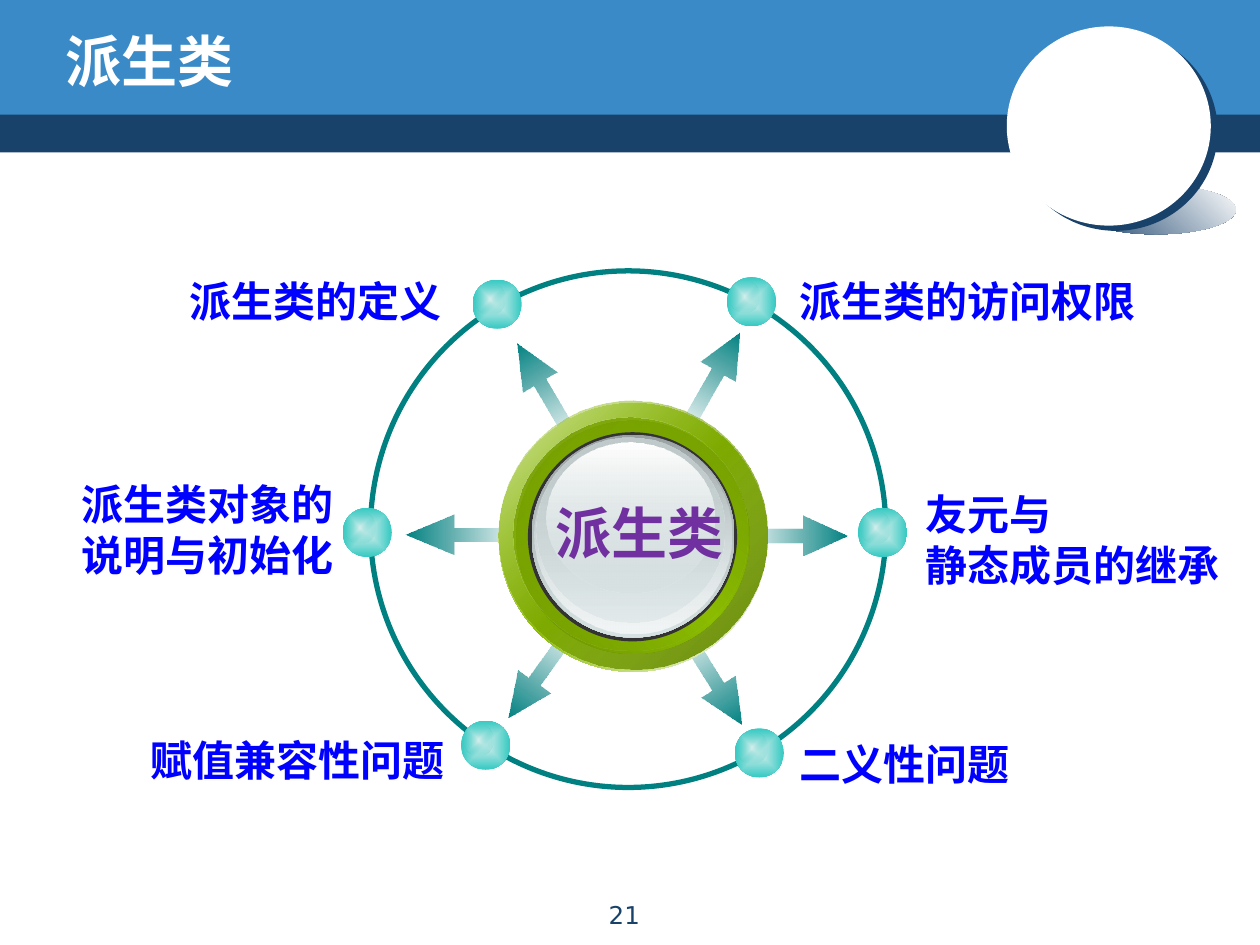
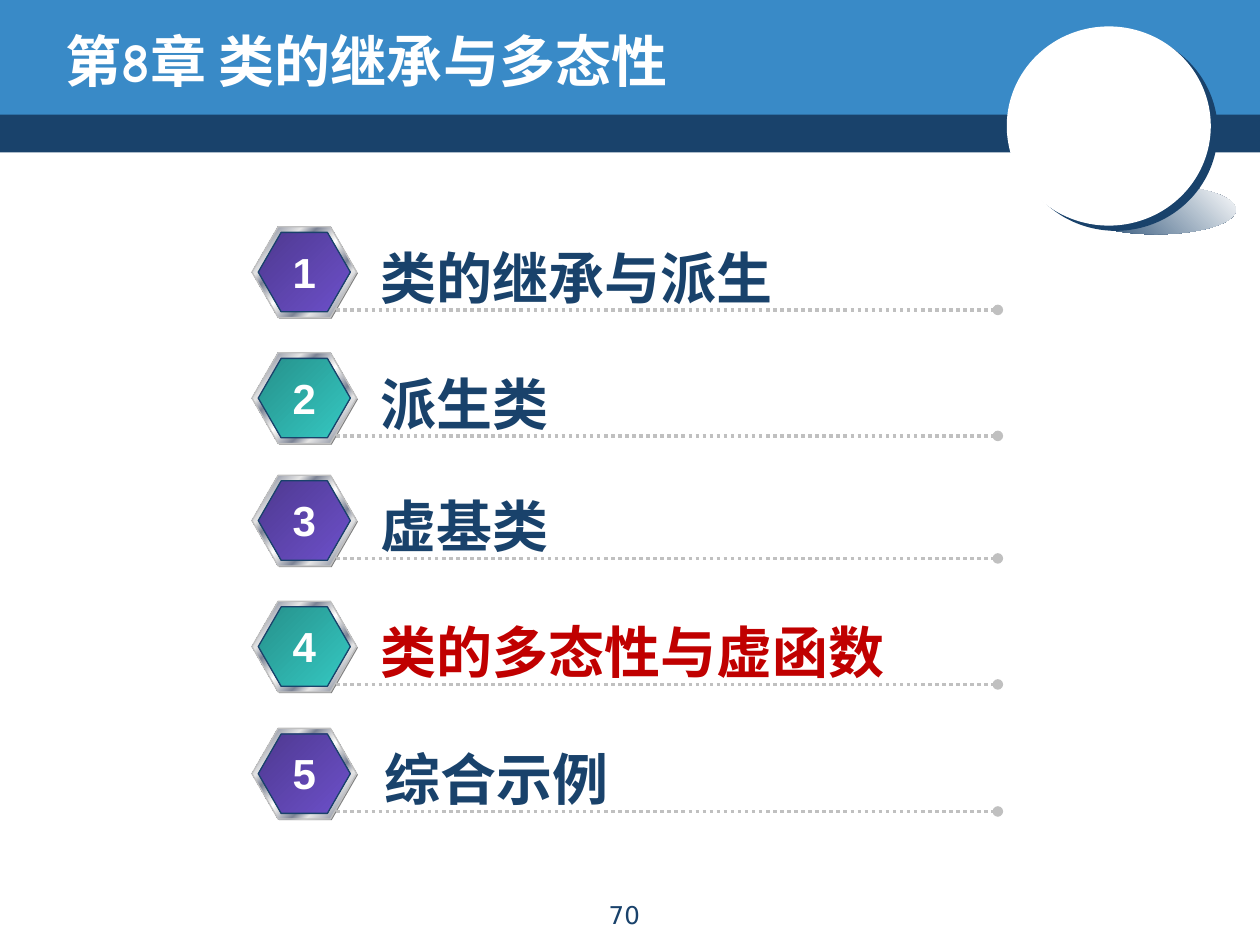
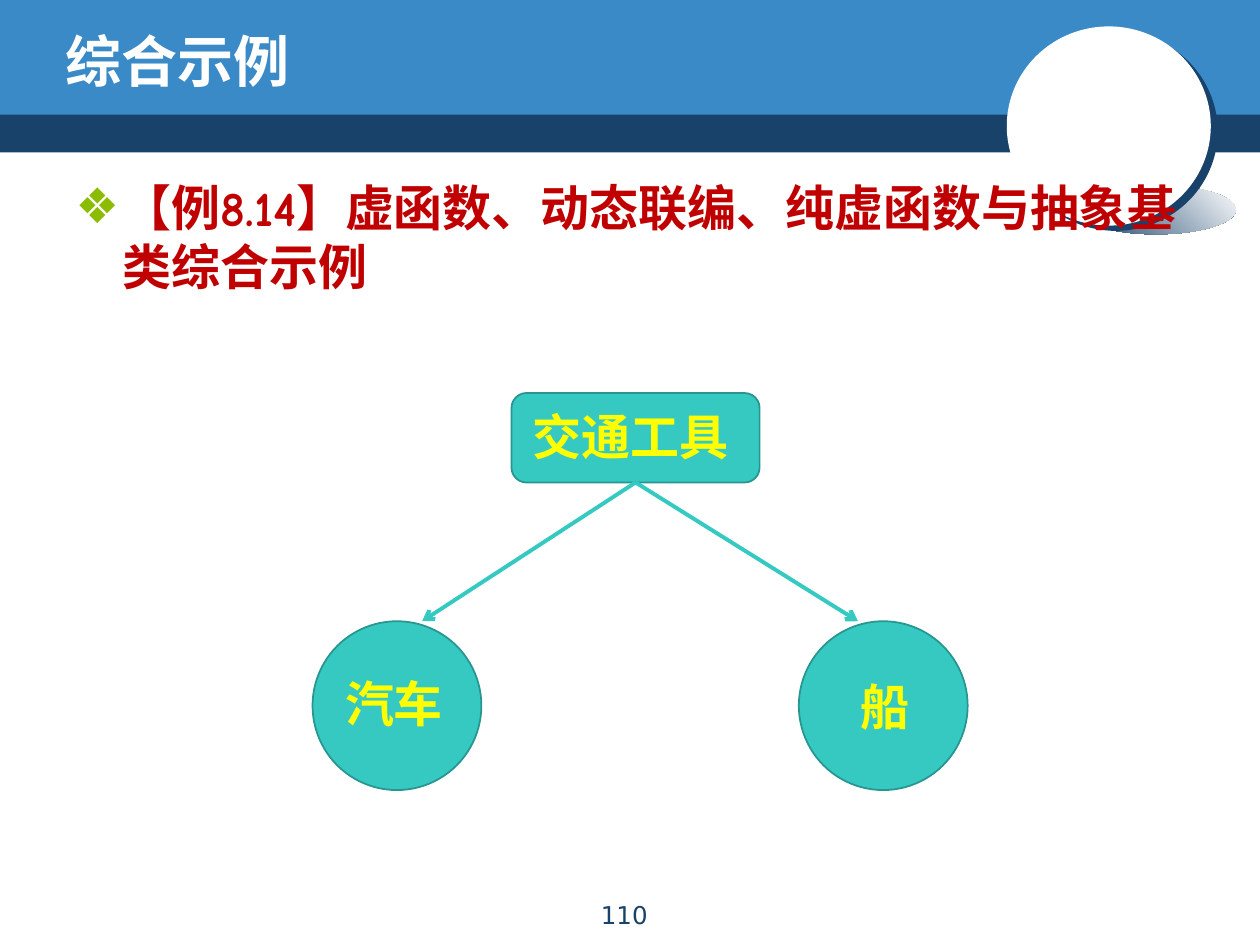
from lxml import etree
from pptx import Presentation
from pptx.dml.color import RGBColor
from pptx.enum import dml, shapes, text
from pptx.oxml import ns
from pptx.util import Pt

NAVY, BLUE, WHITE = "19426B", "398AC7", "FFFFFF"
TEAL, TEAL_EDGE, RING = "35C9C2", "279590", "008080"
RED, YELLOW, LABEL_BLUE, PURPLE = "C00000", "FFFF00", "0000FF", "7030A0"
SILVER = "C0C0C0"
CJK = "Noto Sans CJK SC"
OVAL = shapes.MSO_SHAPE.OVAL
CENTER = text.PP_ALIGN.CENTER


def rgb(color):
    return RGBColor.from_string(color)


def child(parent, tag, **attrs):
    return etree.SubElement(parent, ns.qn(tag), {k: str(v) for k, v in attrs.items()})


def set_gradient(sp, stops, angle=None):
    """Fill with (position, colour[, opacity]) stops; no angle means from the centre."""
    sp.fill.background()
    spPr = sp.element.spPr
    grad = etree.Element(ns.qn("a:gradFill"), rotWithShape="1")
    spPr.replace(spPr.find(ns.qn("a:noFill")), grad)
    gs_list = child(grad, "a:gsLst")
    for pos, color, *opacity in stops:
        gs = child(gs_list, "a:gs", pos=pos * 1000)
        clr = child(gs, "a:srgbClr", val=color)
        for value in opacity:
            child(clr, "a:alpha", val=value * 1000)
    if angle is None:
        centre = child(grad, "a:path", path="shape")
        child(centre, "a:fillToRect", l=50000, t=50000, r=50000, b=50000)
    else:
        child(grad, "a:lin", ang=angle * 60000, scaled=1)


def add_shape(s, kind, box, fill=None, angle=None, line=None, width=1, adj=()):
    """fill is a colour, a list of gradient stops or None."""
    sp = s.shapes.add_shape(kind, *map(Pt, box))
    sp.shadow.inherit = False
    for i, value in enumerate(adj):
        sp.adjustments[i] = value
    if line:
        sp.line.color.rgb = rgb(line)
        sp.line.width = Pt(width)
    else:
        sp.line.fill.background()
    if fill is None:
        sp.fill.background()
    elif isinstance(fill, str):
        sp.fill.solid()
        sp.fill.fore_color.rgb = rgb(fill)
    else:
        set_gradient(sp, fill, angle)
    return sp


def add_line(s, start, end, color, width, tail):
    cn = s.shapes.add_connector(shapes.MSO_CONNECTOR.STRAIGHT, *map(Pt, start + end))
    cn.line.color.rgb = rgb(color)
    cn.line.width = Pt(width)
    child(cn.line._get_or_add_ln(), "a:tailEnd", type=tail)
    child(cn.element.spPr, "a:effectLst")
    return cn


def format_text(tf, size, color, font, bold=True, align=None, pitch=None):
    for p in tf.paragraphs:
        p.alignment = align
        if pitch:
            p.line_spacing = Pt(size * pitch)
        for r in p.runs:
            r.font.size, r.font.bold, r.font.name = Pt(size), bold, font
            r.font.color.rgb = rgb(color)
            child(r._r.get_or_add_rPr(), "a:ea", typeface=CJK)


def add_text(s, box, words, size, color, font="Arial", wrap=False, **style):
    tb = s.shapes.add_textbox(*map(Pt, box))
    tf = tb.text_frame
    tf.word_wrap = wrap
    if not wrap:
        tf.auto_size = text.MSO_AUTO_SIZE.SHAPE_TO_FIT_TEXT
    tf.text = words
    if not words.isdigit():
        style.setdefault("pitch", 1.2)
    format_text(tf, size, color, font, **style)
    return tf


def add_header(s, layout):
    """Draw the bands and the round badge, then hand them to the layout."""
    for ph in list(layout.placeholders):
        if ph.placeholder_format.type != shapes.PP_PLACEHOLDER.TITLE:
            ph.element.getparent().remove(ph.element)
    rect = shapes.MSO_SHAPE.RECTANGLE
    badge = add_shape(s, OVAL, (575.3, 15.1, 116.6, 113.8), WHITE)
    effects = badge.element.spPr.find(ns.qn("a:effectLst"))
    shadow = child(effects, "a:outerShdw", blurRad=0, dist=Pt(5), dir=37 * 60000,
                   algn="ctr", rotWithShape=0)
    child(shadow, "a:srgbClr", val=NAVY)
    parts = [
        add_shape(s, rect, (0, 62.6, 720, 24.5), NAVY),
        add_shape(s, rect, (0, 0, 720, 65.5), BLUE),
        add_shape(s, OVAL, (614.9, 105.8, 91.4, 28.1), [(0, NAVY), (100, WHITE)], 315),
        badge,
    ]
    for sp in parts:
        layout.shapes.element.append(sp.element)


def add_slide(prs, layout, title, number):
    s = prs.slides.add_slide(layout)
    sp = s.shapes.title
    sp.left, sp.top, sp.width, sp.height = map(Pt, (30.2, 12.2, 581.8, 44.6))
    tf = sp.text_frame
    tf.text = title
    tf.vertical_anchor = text.MSO_ANCHOR.MIDDLE
    tf.auto_size = text.MSO_AUTO_SIZE.NONE
    format_text(tf, 32, WHITE, "Comic Neue", align=text.PP_ALIGN.LEFT)
    add_text(s, (291.6, 510.5, 130.3, 23), number, 14, NAVY, "DejaVu Sans",
             wrap=True, bold=False, align=CENTER)
    return s


def add_arrow(s, x, y, rotation, length=62.6):
    sp = add_shape(s, shapes.MSO_SHAPE.RIGHT_ARROW, (x, y, length, 23),
                   [(0, "007A7A", 0), (100, RING)], 0, adj=(0.352, length / 56.2))
    sp.rotation = rotation


def add_bead(s, x, y):
    add_shape(s, OVAL, (x, y, 28.1, 28.1), [(0, "D7EFED"), (100, TEAL)])
    add_shape(s, OVAL, (x + 1.3, y + 2.2, 17.3, 18), [(0, "D7EFED"), (100, TEAL, 0)])


def add_button(s, x, y, words):
    layers = [
        (0, 1.5, 153.4, 153.4, [(0, WHITE), (50, "8BBC00"), (100, WHITE)], 45),
        (0, 0, 153.4, 153.4, [(0, "8BBC00", 32), (100, "638600")], 45),
        (10, 11.5, 133.2, 133.2, [(0, "6A9000"), (50, "8BBC00"), (100, "6A9000")], 315),
        (8.6, 9.4, 133.2, 133.2, [(0, "729A00"), (100, "8BBC00", 0)], 45),
        (16.6, 18, 119.5, 119.5, "333333", None),
        (18.7, 19.4, 115.9, 115.9, [(0, "99A1A2"), (100, "D6E1E2")], 90),
        (20.2, 20.2, 113, 113, [(0, "D6E1E2", 0), (100, "F2F5F5")], 90),
        (21.6, 20.9, 107.3, 105.8, [(0, "C1CBCC"), (100, "D6E1E2", 48)], 90),
        (27.4, 23.8, 95.8, 85.7, [(0, WHITE), (100, "D6E1E2", 38)], 90),
    ]
    for dx, dy, w, h, fill, angle in layers:
        add_shape(s, OVAL, (x + dx, y + dy, w, h), fill, angle)
    add_text(s, (x + 24.5, y + 52.5, 111.6, 46.1), words, 32, PURPLE, CJK, align=CENTER)


def build_wheel(s):
    arrows = [(375.8, 205.9, 299.6), (375.8, 375.8, 57.8), (280.1, 211.7, 239.5),
              (277.2, 373, 125.6), (421.9, 294.5, 0), (231.8, 293.8, 180, 67.7)]
    for arrow in arrows:
        add_arrow(s, *arrow)
    add_shape(s, OVAL, (211.7, 154.8, 294.5, 295.2), line=RING, width=3)
    # bead position, label box, label
    topics = [
        ((270, 159.8), (101.5, 154.1, 160.6, 36), "派生类的定义"),
        ((195.8, 290.2), (39.6, 270, 160.6, 65.5), "派生类对象的\n说明与初始化"),
        ((263.5, 411.8), (79.2, 416.2, 185, 36), "赋值兼容性问题"),
        ((415.4, 158.4), (450, 154.1, 209.5, 36), "派生类的访问权限"),
        ((490.3, 290.2), (522, 275.8, 185, 65.5), "友元与\n静态成员的继承"),
        ((419.8, 416.2), (450, 418.3, 136.1, 36), "二义性问题"),
    ]
    for bead, box, words in topics:
        add_bead(s, *bead)
        add_text(s, box, words, 24, LABEL_BLUE, CJK)
    add_button(s, 285.1, 229, "派生类")


def add_agenda_row(s, x, y, number, words, width, color, shift=0):
    hexagon, adj = shapes.MSO_SHAPE.HEXAGON, (0.289, 1.155)
    chrome = [(0, "E6E6E6"), (7, "7D8496"), (26, "E6E6E6"), (34, "7D8496"),
              (46, "E6E6E6"), (50, WHITE), (54, "E6E6E6"), (66, "7D8496"),
              (74, "E6E6E6"), (93, "7D8496"), (100, "E6E6E6")]
    face = [(0, "4E3990"), (100, "6D50CA")] if number % 2 else [(0, "26908B"), (100, TEAL)]
    add_shape(s, hexagon, (x + 0.7, y + 0.7, 59.8, 51.8), "808080", adj=adj)
    add_shape(s, hexagon, (x, y, 59.8, 51.8), chrome, 45, SILVER, 0.75, adj)
    add_shape(s, hexagon, (x + 3.6, y + 3.2, 52.6, 45.4), face, 45, NAVY, 0.75, adj)
    rule = add_line(s, (x + 48.2, y + 47.5), (x + 426.2, y + 47.5), SILVER, 2, "oval")
    rule.line.dash_style = dml.MSO_LINE.ROUND_DOT
    add_text(s, (x + 66.2 + shift, y + 5.8, width, 46.1), words, 32, color)
    add_text(s, (x + 15.8, y + 7.5, 28.1, 36), str(number), 24, WHITE, align=CENTER)


def build_agenda(s):
    rows = [(129.6, "类的继承与派生", 241.9, NAVY), (201.6, "派生类", 111.6, NAVY),
            (271.6, "虚基类", 111.6, NAVY), (343.6, "类的多态性与虚函数", 306.7, RED),
            (416.2, "综合示例", 144, NAVY, 2.2)]
    for number, (y, *row) in enumerate(rows, 1):
        add_agenda_row(s, 144, y, number, *row)


def add_bullet(s, box, words):
    tf = add_text(s, box, words, 28, RED, "Comic Neue", wrap=True)
    p = tf.paragraphs[0]
    p.space_before = Pt(5.6)
    pPr = p._p.get_or_add_pPr()
    pPr.set("marL", str(Pt(27)))
    pPr.set("indent", str(-Pt(27)))
    child(child(pPr, "a:buClr"), "a:srgbClr", val="8BBC00")
    child(pPr, "a:buFont", typeface="DejaVu Sans")
    child(pPr, "a:buChar", char="❖")


def build_example(s):
    add_bullet(s, (36, 97.9, 648, 413.3),
               "【例8.14】虚函数、动态联编、纯虚函数与抽象基类综合示例")
    vehicle = add_shape(s, shapes.MSO_SHAPE.ROUNDED_RECTANGLE, (292.3, 224.6, 141.8, 51.1),
                        TEAL, line=TEAL_EDGE)
    for x in (178.6, 456.5):
        add_shape(s, OVAL, (x, 355, 96.5, 96.5), TEAL, line=TEAL_EDGE)
    labels = [((190.1, 381.6, 73.4, 41), "汽车"), ((484.6, 383, 45.4, 41), "船"),
              ((297.4, 229, 130.3, 41), "交通工具")]
    for box, words in labels:
        add_text(s, box, words, 28, YELLOW, wrap=True)
    for x in (241.2, 490.3):
        cn = add_line(s, (363.2, 275.7), (x, 355), TEAL, 2.25, "arrow")
        cn.begin_connect(vehicle, 2)


def main():
    prs = Presentation()
    prs.slide_width, prs.slide_height = Pt(720), Pt(540)
    layout = prs.slide_layouts[5]
    pages = [("派生类", "21", build_wheel),
             ("第8章 类的继承与多态性", "70", build_agenda),
             ("综合示例", "110", build_example)]
    for i, (title, number, build) in enumerate(pages):
        s = add_slide(prs, layout, title, number)
        if i == 0:
            add_header(s, layout)
        build(s)
    prs.save("out.pptx")


if __name__ == "__main__":
    main()
